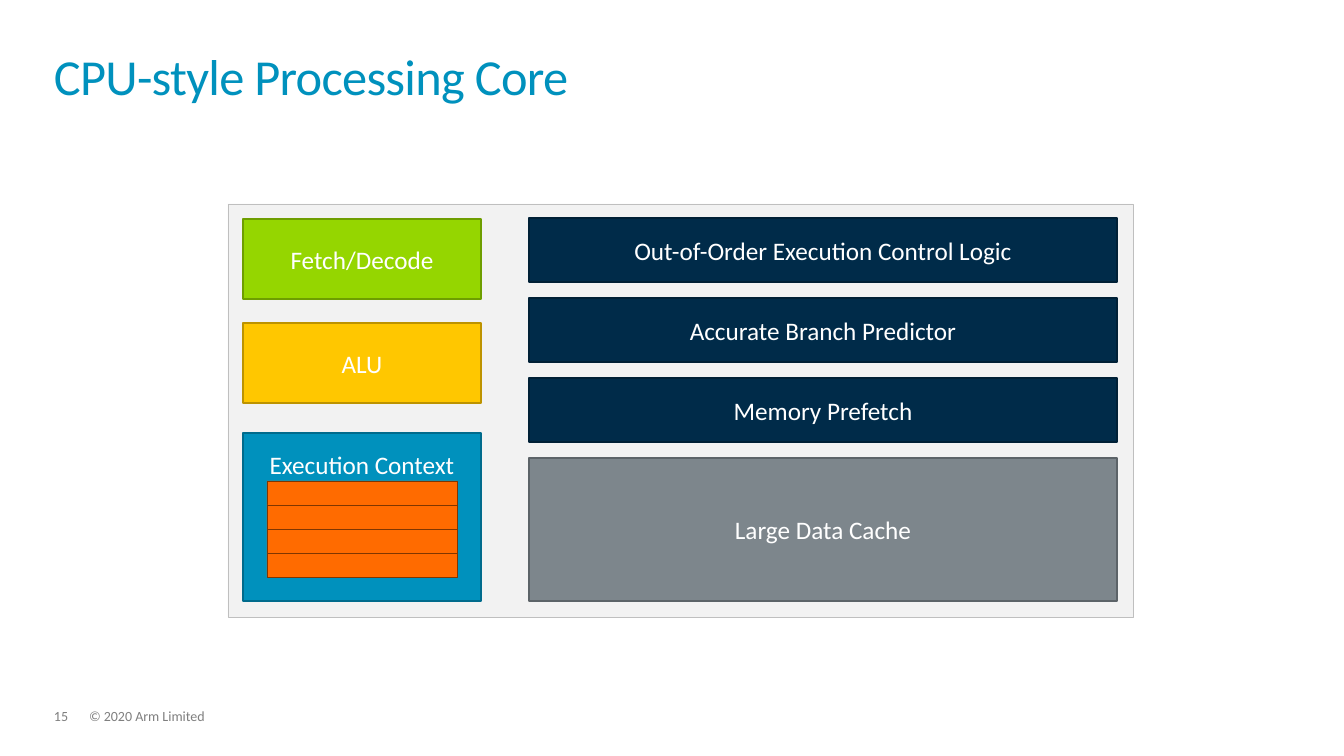
from pptx import Presentation
from pptx.dml.color import RGBColor
from pptx.enum.shapes import MSO_SHAPE as Shape
from pptx.enum.text import MSO_ANCHOR as Anchor, PP_ALIGN as Align
from pptx.util import Pt

SCALE = 914400 / 100.8
FONT = "Calibri"
WHITE = "FFFFFF"
TEAL = "0091BD"
GREY = "7F7F7F"


def px(n):
    return round(n * SCALE)


def color(code):
    return RGBColor.from_string(code)


def write(shape, text, size=18, ink=WHITE, align=Align.CENTER,
          anchor=Anchor.MIDDLE, inset=(10, 5, 10, 5), lead=1.0, track=None):
    frame = shape.text_frame
    frame.word_wrap = True
    frame.vertical_anchor = anchor
    left, top, right, base = map(px, inset)
    frame.margin_left, frame.margin_top = left, top
    frame.margin_right, frame.margin_bottom = right, base
    para = frame.paragraphs[0]
    para.alignment = align
    para.line_spacing = lead
    run = para.add_run()
    run.text = text
    run.font.size = Pt(size)
    run.font.name = FONT
    run.font.color.rgb = color(ink)
    if track is not None:
        run.font._element.set("spc", str(track))


def label(slide, box, text, **form):
    shape = slide.shapes.add_textbox(*map(px, box))
    write(shape, text, align=Align.LEFT, inset=(0, 0, 0, 0), **form)


def block(slide, box, fill, edge, text="", width=1, **form):
    shape = slide.shapes.add_shape(Shape.RECTANGLE, *map(px, box))
    shape.shadow.inherit = False
    shape.fill.solid()
    shape.fill.fore_color.rgb = color(fill)
    shape.line.color.rgb = color(edge)
    shape.line.width = Pt(width)
    if text:
        write(shape, text, **form)


def context(slide, box):
    x, y, w, h = box
    block(slide, box, TEAL, "006B8C", "Execution Context",
          anchor=Anchor.TOP, inset=(10, 16, 10, 5))
    for i in range(4):
        block(slide, (x + 24, y + 48 + 24 * i, w - 48, 24),
              "FF6B00", "803600", width=0.5)


def units(slide, box):
    x, y, w, h = box
    block(slide, (x, y, w, 80), "95D600", "6E9E00", "Fetch/Decode")
    block(slide, (x, y + 104, w, 80), "FFC700", "BD9300", "ALU")
    context(slide, (x, y + 214, w, h - 214))


def control(slide, box):
    x, y, w, h = box
    names = ("Out-of-Order Execution Control Logic",
             "Accurate Branch Predictor", "Memory Prefetch")
    for i, name in enumerate(names):
        block(slide, (x, y + 80 * i, w, 64), "002B49", "002036", name)
    top = 80 * len(names)
    block(slide, (x, y + top, w, h - top), "7D868C", "5C6368",
          "Large Data Cache")


def core(slide, box):
    x, y, w, h = box
    block(slide, box, "F2F2F2", "BFBFBF", width=0.5)
    units(slide, (x + 15, y + 15, 238, h - 31))
    control(slide, (x + 301, y + 14, w - 317, h - 30))


def footer(slide, box):
    x, y, w, h = box
    form = dict(size=10, ink=GREY, anchor=Anchor.TOP, lead=0.9)
    label(slide, (x, y, 35, h), "15", **form)
    label(slide, (x + 35, y, w - 35, h), "© 2020 Arm Limited", **form)


def main():
    deck = Presentation()
    deck.slide_width, deck.slide_height = px(1344), px(756)
    slide = deck.slides.add_slide(deck.slide_layouts[6])
    label(slide, (54, 32, 1233, 74), "CPU-style Processing Core", size=36,
          ink=TEAL, anchor=Anchor.BOTTOM, lead=0.85, track=-50)
    core(slide, (228, 204, 905, 413))
    footer(slide, (54, 709, 955, 15))
    deck.save("out.pptx")


if __name__ == "__main__":
    main()
